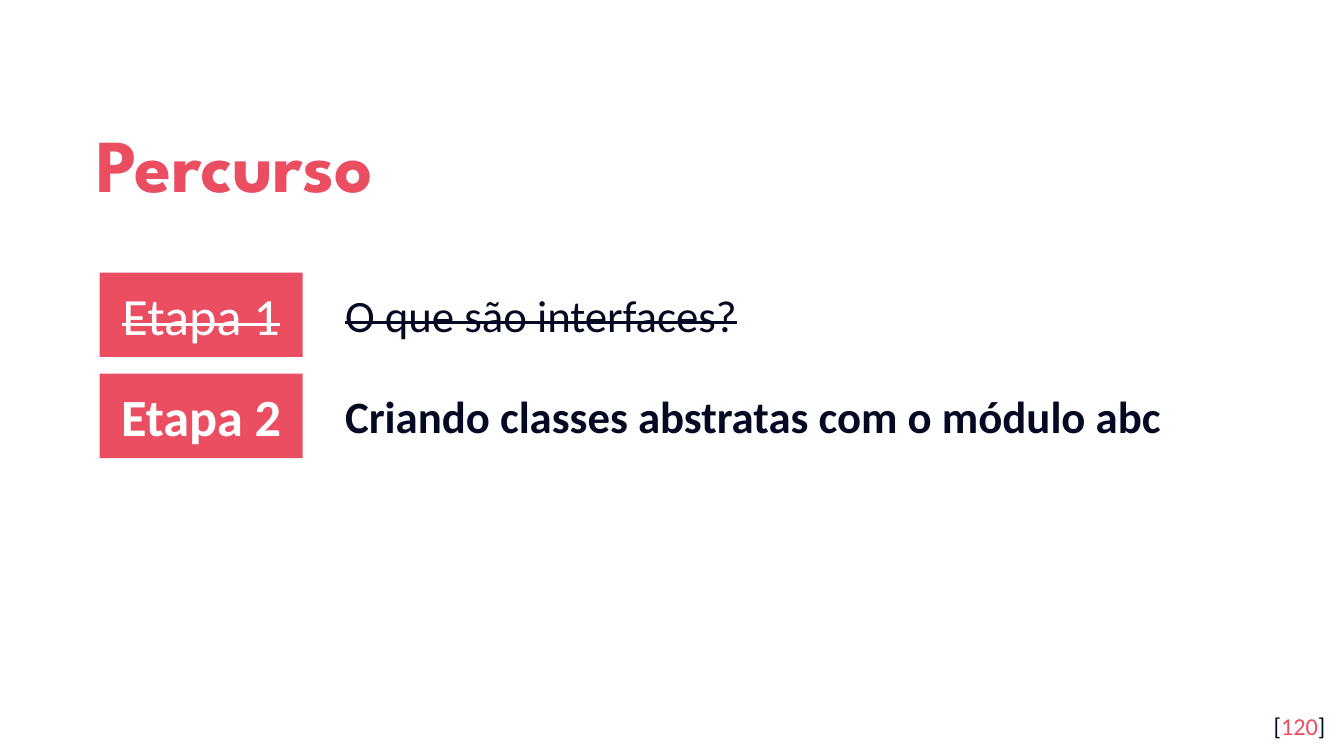
from pptx import Presentation
from pptx.dml.color import RGBColor
from pptx.enum.shapes import MSO_SHAPE
from pptx.enum.text import MSO_ANCHOR, MSO_AUTO_SIZE, PP_ALIGN
from pptx.util import Pt

CORAL, NAVY, WHITE = "EA4E60", "040A24", "FFFFFF"


def prepare_text(box, anchor, align, inset=7.2):
    """Set up the text frame of a box and return its first paragraph."""
    frame = box.text_frame
    frame.word_wrap = True
    frame.auto_size = MSO_AUTO_SIZE.NONE
    frame.vertical_anchor = anchor
    frame.margin_left = frame.margin_right = Pt(7.2)
    frame.margin_top = frame.margin_bottom = Pt(inset)
    para = frame.paragraphs[0]
    para.alignment = align
    return para


def add_span(para, text, size, color, font="Calibri", bold=False, strike=False):
    span = para.add_run()
    span.text = text
    span.font.name = font
    span.font.size = Pt(size)
    span.font.bold = bold
    span.font.color.rgb = RGBColor.from_string(color)
    if strike:
        span._r.get_or_add_rPr().set("strike", "sngStrike")


deck = Presentation()
deck.slide_width, deck.slide_height = Pt(720), Pt(405)
page = deck.slides.add_slide(deck.slide_layouts[5])
page.background.fill.solid()
page.background.fill.fore_color.rgb = RGBColor.from_string(WHITE)

# Title
title = page.shapes.title
title.left, title.top, title.width, title.height = Pt(44.6), Pt(50.4), Pt(583), Pt(66.2)
para = prepare_text(title, MSO_ANCHOR.MIDDLE, PP_ALIGN.LEFT)
para.line_spacing = 1.15
add_span(para, "Percurso", 40, CORAL, font="League Spartan", bold=True)

# Stages: finished ones are struck through, the current one is bold
stages = [
    ("Etapa 1", "O que são interfaces?", True),
    ("Etapa 2", "Criando classes abstratas com o módulo abc", False),
]
for row, (label, topic, done) in enumerate(stages):
    top = 146 + row * 54.2

    tag = page.shapes.add_shape(MSO_SHAPE.RECTANGLE, Pt(53.4), Pt(top), Pt(108.7), Pt(45.2))
    tag.shadow.inherit = False
    tag.fill.solid()
    tag.fill.fore_color.rgb = RGBColor.from_string(CORAL)
    tag.line.fill.background()
    para = prepare_text(tag, MSO_ANCHOR.MIDDLE, PP_ALIGN.CENTER)
    add_span(para, label, 28, WHITE, bold=not done, strike=done)

    box = page.shapes.add_textbox(Pt(177.8), Pt(top + 4.4), Pt(486), Pt(36.4))
    para = prepare_text(box, MSO_ANCHOR.TOP, PP_ALIGN.LEFT, inset=3.6)
    indent = para._p.get_or_add_pPr()
    indent.set("marL", str(Pt(36)))
    indent.set("indent", str(-Pt(36)))
    add_span(para, topic, 24, NAVY, bold=not done, strike=done)

# Page number
box = page.shapes.add_textbox(Pt(673.9), Pt(373.8), Pt(43.2), Pt(31))
para = prepare_text(box, MSO_ANCHOR.TOP, PP_ALIGN.RIGHT)
for text, color in [("[", NAVY), ("120", CORAL), ("]", NAVY)]:
    add_span(para, text, 13, color)

deck.save("out.pptx")
